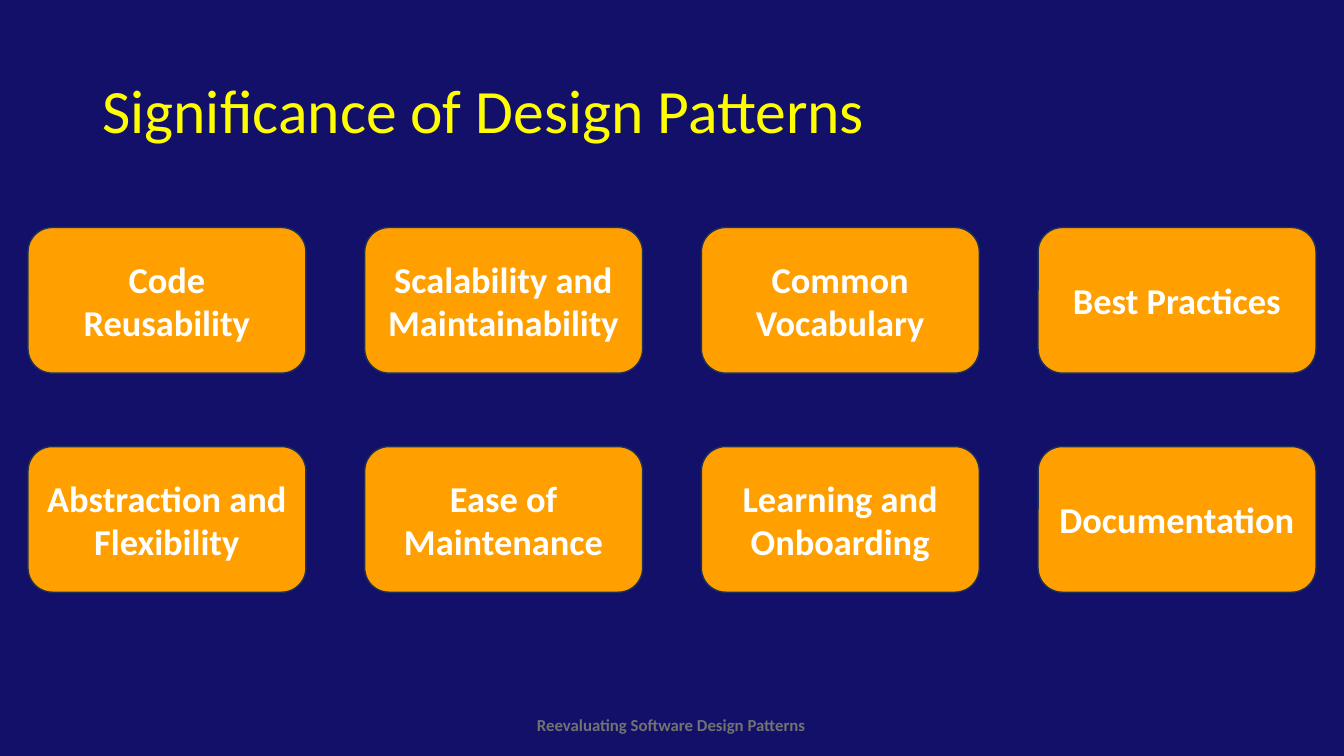
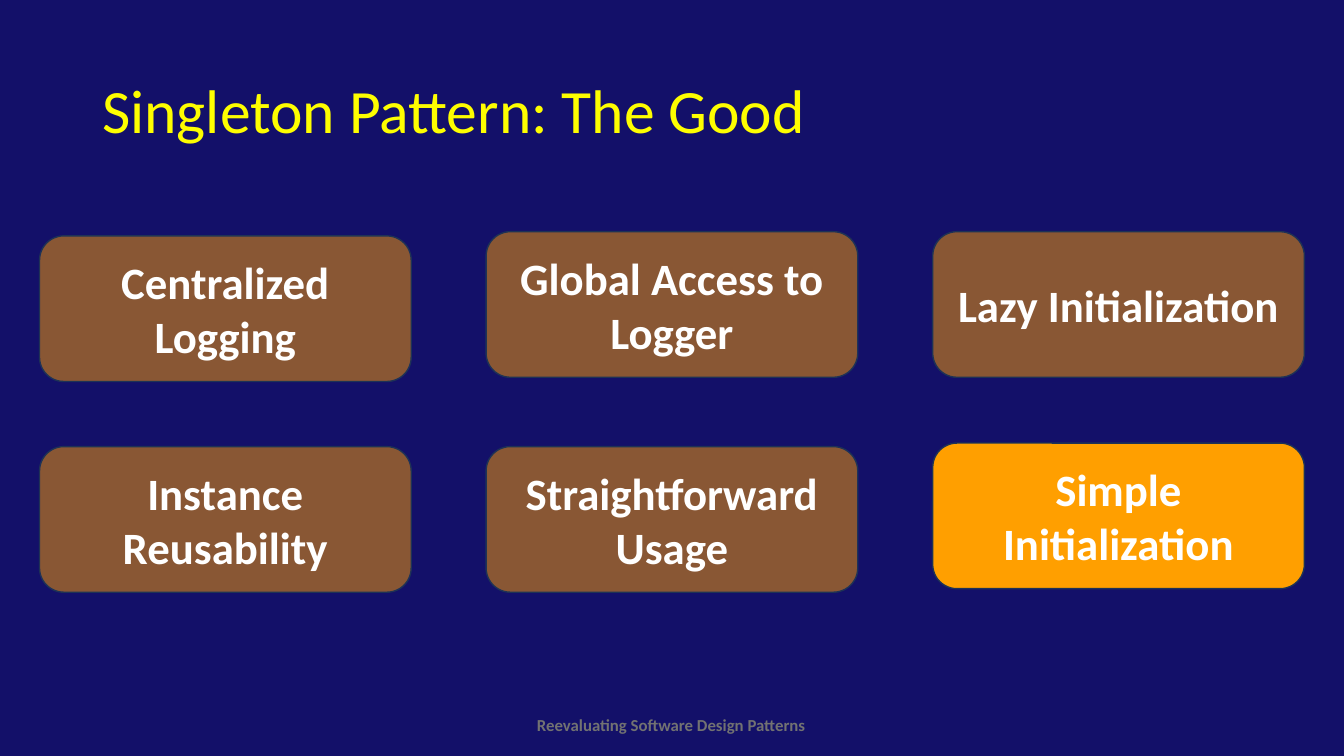
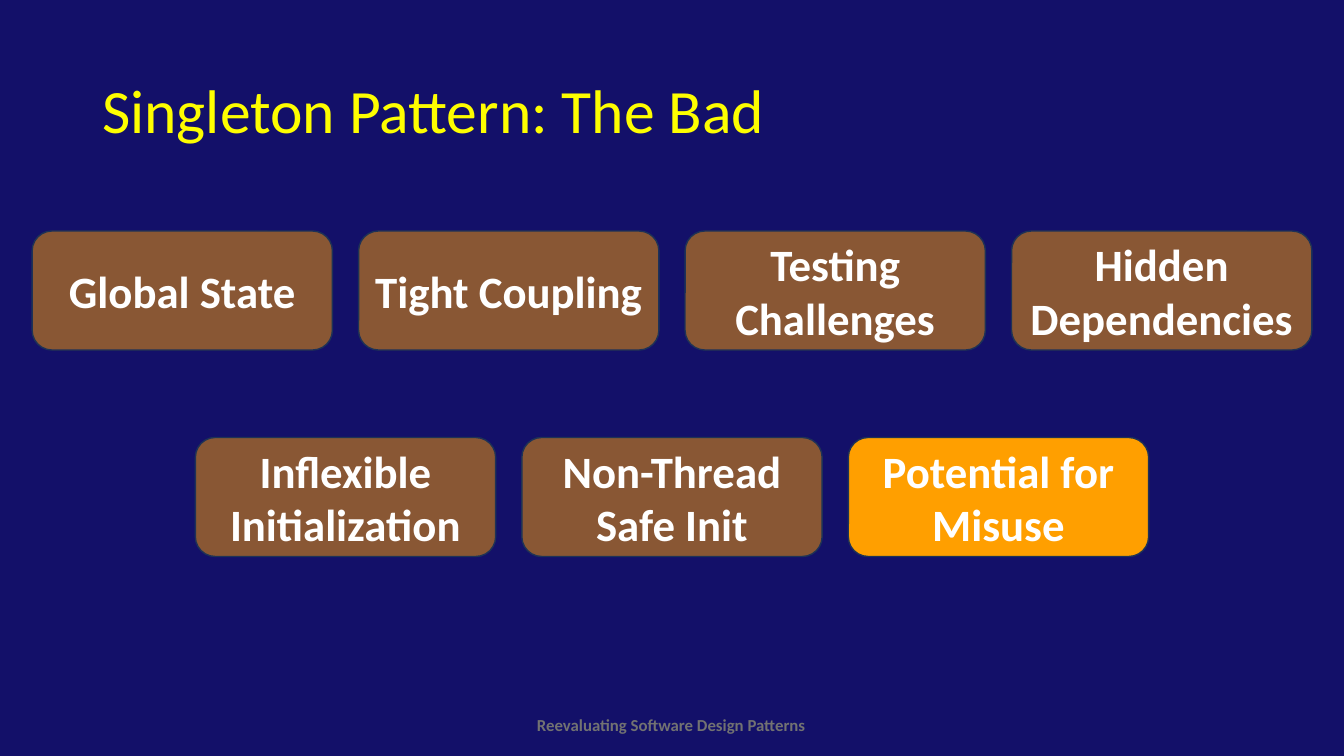
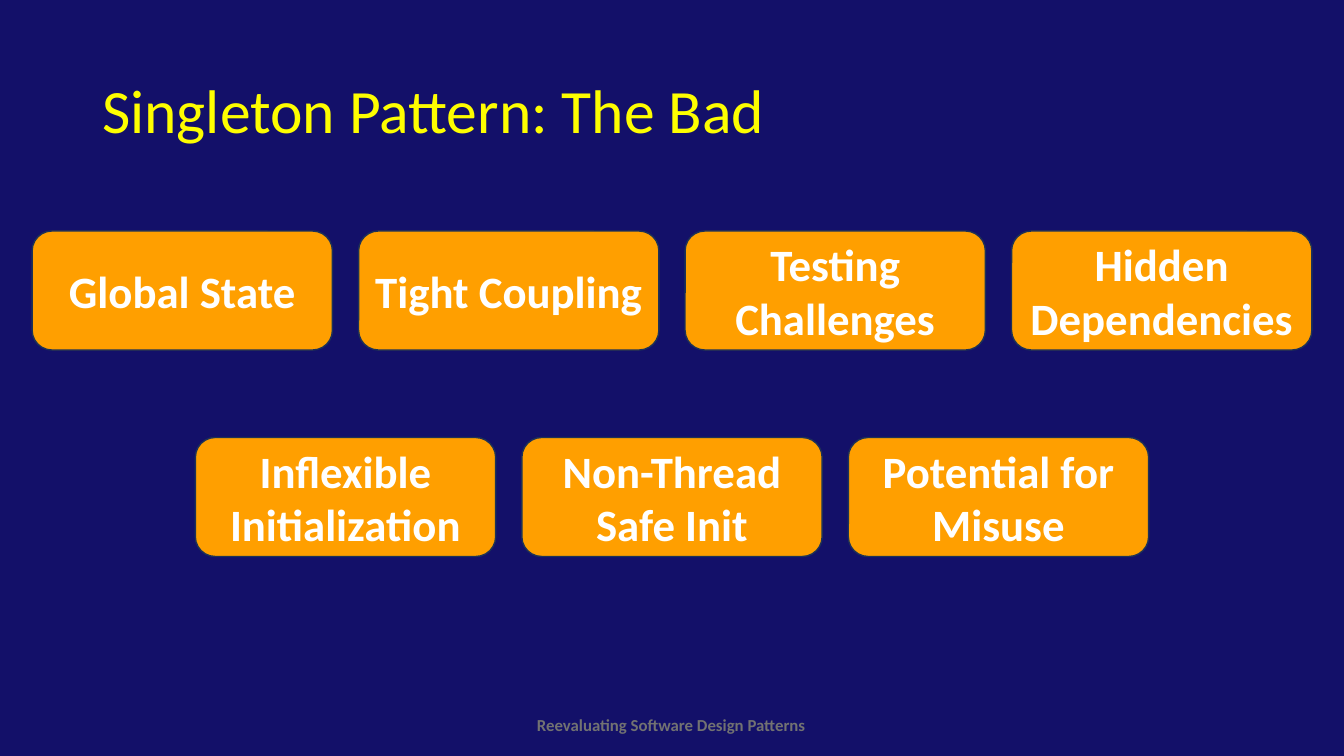
from lxml.etree import SubElement
from pptx import Presentation
from pptx.dml.color import RGBColor
from pptx.enum.shapes import MSO_SHAPE
from pptx.enum.text import MSO_ANCHOR, MSO_AUTO_SIZE, PP_ALIGN
from pptx.oxml.ns import qn
from pptx.util import Pt

NAVY, YELLOW, ORANGE = "131069", "FEFE00", "FF9F00"
OUTLINE, WHITE, GRAY = "1E3256", "FFFFFF", "727272"
WIDTH, HEIGHT = 960, 540


def paint(color_format, color, alpha=100):
    color_format.solid()
    color_format.fore_color.rgb = RGBColor.from_string(color)
    if alpha < 100:
        srgb = color_format._xPr.find(".//" + qn("a:srgbClr"))
        SubElement(srgb, qn("a:alpha"), val=str(alpha * 1000))


def write(shape, text, size, color, bold=False, align=PP_ALIGN.CENTER, wrap=True, spacing=None):
    frame = shape.text_frame
    frame.word_wrap = wrap
    frame.vertical_anchor = MSO_ANCHOR.MIDDLE
    paragraph = frame.paragraphs[0]
    paragraph.text = text
    paragraph.alignment = align
    paragraph.line_spacing = spacing
    font = paragraph.font
    font.name, font.size, font.bold = "Calibri", Pt(size), bold
    paint(font.fill, color)


drawbacks = [
    [("Global State", 165), ("Tight Coupling", 165), ("Testing Challenges", 165), ("Hidden Dependencies", 165)],
    [("Inflexible Initialization", 312.5), ("Non-Thread Safe Init", 312.5), ("Potential for Misuse", 312.5)],
]
drawback_format = {"width": 214.5, "height": 85, "gap": 18.7, "size": 32}

slides = [
    {
        "title": "Significance of Design Patterns",
        "rows": [
            [("Code Reusability", 162.5), ("Scalability and Maintainability", 162.5),
             ("Common Vocabulary", 162.5), ("Best Practices", 162.5)],
            [("Abstraction and Flexibility", 319), ("Ease of Maintenance", 319),
             ("Learning and Onboarding", 319), ("Documentation", 319)],
        ],
        "width": 198.5, "height": 104, "gap": 42, "size": 26, "faded": False,
    },
    {
        "title": "Singleton Pattern: The Good",
        "rows": [
            [("Centralized Logging", 168.5), ("Global Access to Logger", 165.5), ("Lazy Initialization", 165.5)],
            [("Instance Reusability", 319), ("Straightforward Usage", 319), ("Simple Initialization", 316.5)],
        ],
        "width": 265.5, "height": 104, "gap": 53.5, "size": 32, "faded": True,
    },
    {"title": "Singleton Pattern: The Bad", "rows": drawbacks, "faded": True, **drawback_format},
    {"title": "Singleton Pattern: The Bad", "rows": drawbacks, "faded": False, **drawback_format},
]

presentation = Presentation()
presentation.slide_width, presentation.slide_height = Pt(WIDTH), Pt(HEIGHT)
paint(presentation.slide_master.background.fill, NAVY)

for content in slides:
    slide = presentation.slides.add_slide(presentation.slide_layouts[6])

    footer = slide.shapes.add_textbox(Pt(375), Pt(507), Pt(209), Pt(21.8))
    write(footer, "Reevaluating Software Design Patterns", 12, GRAY, bold=True, wrap=False)
    footer.text_frame.auto_size = MSO_AUTO_SIZE.SHAPE_TO_FIT_TEXT

    title = slide.shapes.add_textbox(Pt(66), Pt(28.75), Pt(828), Pt(104.4))
    write(title, content["title"], 44, YELLOW, align=PP_ALIGN.LEFT, spacing=0.9)

    width, gap = content["width"], content["gap"]
    last_label = content["rows"][-1][-1][0]
    for row in content["rows"]:
        left = (WIDTH - len(row) * width - (len(row) - 1) * gap) / 2
        for column, (label, top) in enumerate(row):
            box = slide.shapes.add_shape(
                MSO_SHAPE.ROUNDED_RECTANGLE,
                Pt(left + column * (width + gap)), Pt(top), Pt(width), Pt(content["height"]))
            box.shadow.inherit = False
            faded = content["faded"] and label != last_label
            paint(box.fill, ORANGE, alpha=50 if faded else 100)
            paint(box.line.fill, OUTLINE)
            box.line.width = Pt(1)
            write(box, label, content["size"], WHITE, bold=True)

presentation.save("out.pptx")
